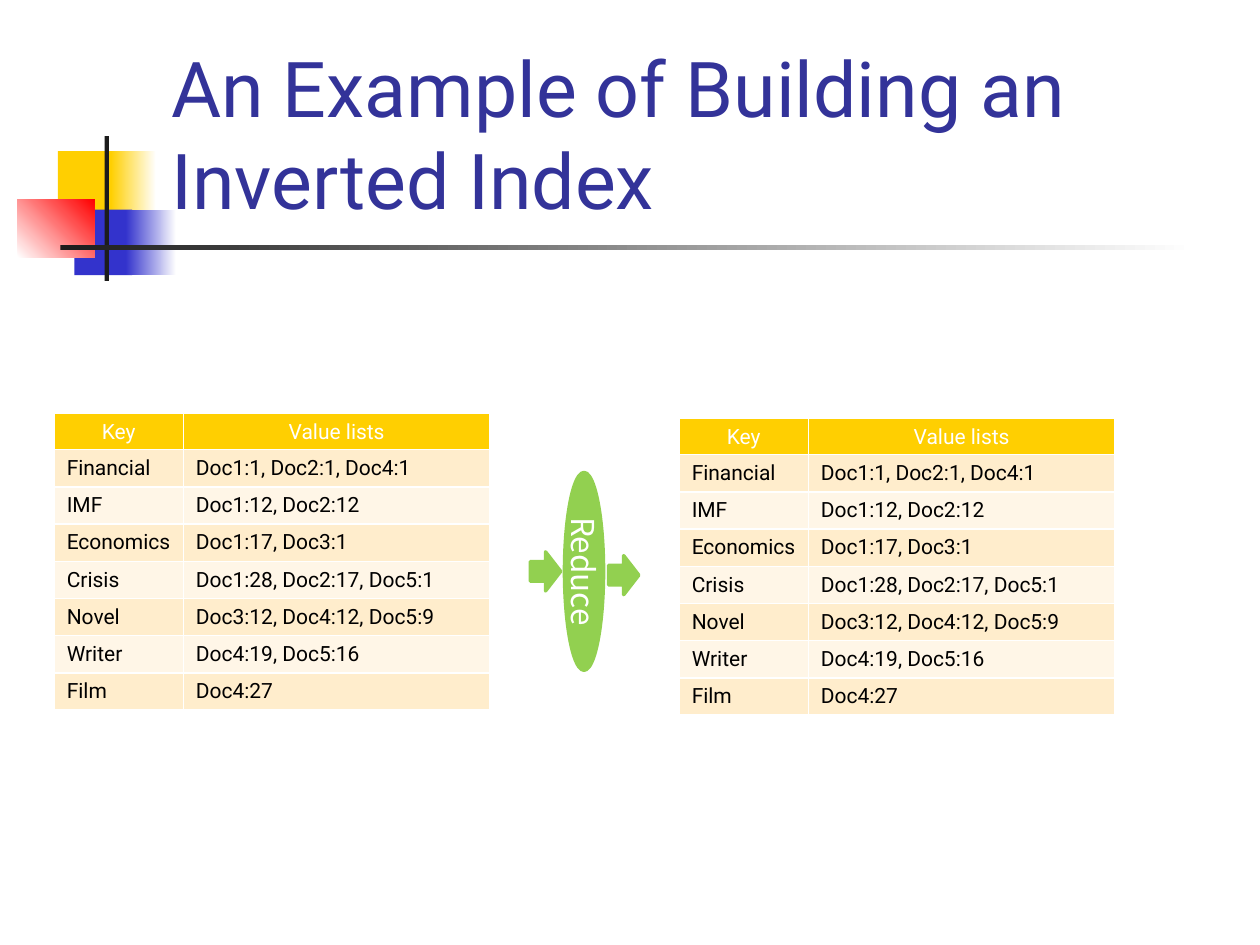
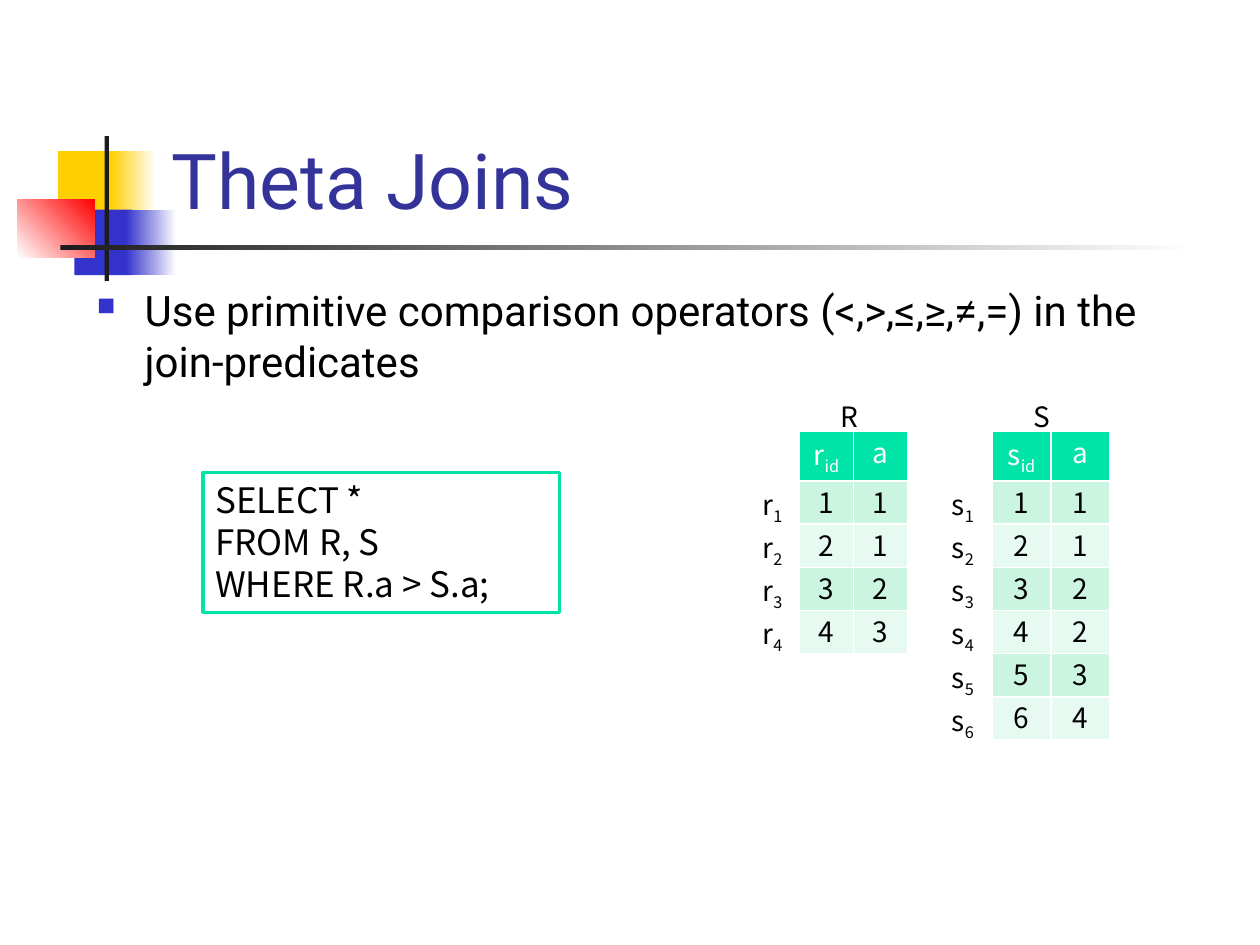
from typing import NamedTuple, Optional

from lxml.etree import SubElement
from pptx import Presentation
from pptx.dml.color import RGBColor
from pptx.enum.shapes import MSO_SHAPE as Shape
from pptx.enum.text import MSO_ANCHOR as Anchor, PP_ALIGN as Align
from pptx.oxml.ns import qn
from pptx.util import Inches, Pt

WIDTH, HEIGHT = Inches(10), Inches(7.5)
LATIN, CJK = "Roboto", "Noto Sans CJK KR"
WHITE, BLACK, INK = "FFFFFF", "000000", "1C1C1C"
YELLOW, BLUE, RED = "FFCF01", "3333CC", "FF0000"
NAVY, GREEN, MINT = "333399", "92D050", "00E4A8"


class Box(NamedTuple):
    """Left, top, width and height in percent of the slide's size."""
    left: float
    top: float
    width: float
    height: float

    def lengths(self) -> tuple:
        return (across(self.left), down(self.top),
                across(self.width), down(self.height))


class TextStyle(NamedTuple):
    font: str
    size: float
    color: str = BLACK
    align: Align = Align.LEFT
    spacing: Optional[float] = None


class Block(NamedTuple):
    box: Box
    color: str
    end_color: Optional[str] = None
    angle: float = 0


class TableStyle(NamedTuple):
    font: str
    size: float
    header: str
    bands: tuple
    header_height: float
    row_height: float
    body_align: Align
    spacing: Optional[float] = None
    row_labels: bool = False


# Shared decoration of every slide
DECORATION = [
    Block(Box(4.6, 16, 4.8, 6.93), YELLOW),
    Block(Box(8.8, 16, 3.6, 6.93), YELLOW, WHITE),
    Block(Box(5.9, 22.2, 4.6, 6.93), BLUE),
    Block(Box(10, 22.2, 4, 6.93), BLUE, WHITE),
    Block(Box(1.4, 21.07, 6.1, 6.2), WHITE, RED, 45),
    Block(Box(8.3, 14.4, 0.35, 15.33), INK),
    Block(Box(4.8, 25.95, 90, 0.5), INK, WHITE),
]
TITLE_BOX = Box(12.6, 3.07, 85.2, 21.4)
TITLE_STYLE = TextStyle(LATIN, 44, NAVY)

# Inverted index
INDEX_STYLE = TableStyle(LATIN, 12, YELLOW, ("FFEDCC", "FFF6E7"),
                         3.85, 3.94, Align.LEFT)
INDEX_COLUMNS = (10.25, 24.35)
INDEX_ROWS = [
    ("Key", "Value lists"),
    ("Financial", "Doc1:1, Doc2:1, Doc4:1"),
    ("IMF", "Doc1:12, Doc2:12"),
    ("Economics", "Doc1:17, Doc3:1"),
    ("Crisis", "Doc1:28, Doc2:17, Doc5:1"),
    ("Novel", "Doc3:12, Doc4:12, Doc5:9"),
    ("Writer", "Doc4:19, Doc5:16"),
    ("Film", "Doc4:27"),
]
INDEX_CORNERS = [(4.3, 43.73), (53.9, 44.27)]
REDUCE_BOX = Box(38.5, 58.4, 15.7, 4.13)
ARROW_BOXES = [Box(42.1, 58.4, 2.4, 4.13), Box(48.3, 58.8, 2.4, 4.13)]


# Relations of the theta join
class Relation(NamedTuple):
    name: str
    label_box: Box
    left: float
    column: float
    values: tuple

    def rows(self) -> list:
        """Rows with an underscore before each subscript."""
        key = self.name.lower()
        return [("", f"{key}_id", "a")] + [
            (f"{key}_{number}", str(number), str(value))
            for number, value in enumerate(self.values, 1)]


RELATION_STYLE = TableStyle(CJK, 16, MINT, ("CCF5E1", "E7FAF1"),
                            5.3, 4.57, Align.CENTER, 0.8, True)
RELATION_TOP = 45.6
RELATIONS = [
    Relation("R", Box(65.7, 41.6, 3.6, 4.93), 59.15, 4.3, (1, 1, 2, 3)),
    Relation("S", Box(81, 41.6, 3.5, 4.93), 74.1, 4.65, (1, 1, 2, 2, 3, 4)),
]
QUERY = ["SELECT *", "FROM R, S", "WHERE R.a > S.a;"]
QUERY_BOX = Box(16.1, 50, 28.3, 14.8)
BODY_BOX = Box(6.7, 29.47, 85, 60)


def across(percent: float) -> int:
    return round(WIDTH * percent / 100)


def down(percent: float) -> int:
    return round(HEIGHT * percent / 100)


def rgb(color: str) -> RGBColor:
    return RGBColor.from_string(color)


def paint(fill, color: str) -> None:
    fill.solid()
    fill.fore_color.rgb = rgb(color)


def write(frame, lines: list, style: TextStyle) -> None:
    """Write one paragraph a line; an underscore starts a subscript."""
    for index, line in enumerate(lines):
        paragraph = frame.add_paragraph() if index else frame.paragraphs[0]
        paragraph.alignment = style.align
        if style.spacing:
            paragraph.line_spacing = style.spacing
        font = paragraph.font
        font.name, font.size = style.font, Pt(style.size)
        font.color.rgb = rgb(style.color)
        base, _, subscript = line.partition("_")
        if base:
            paragraph.add_run().text = base
        if subscript:
            run = paragraph.add_run()
            run.text = subscript
            run._r.get_or_add_rPr().set("baseline", "-25000")


def add_text(slide, box: Box, lines: list, style: TextStyle,
             anchor: Anchor = Anchor.TOP, wrap: bool = True):
    frame = slide.shapes.add_textbox(*box.lengths()).text_frame
    frame.word_wrap = wrap
    frame.vertical_anchor = anchor
    write(frame, lines, style)
    return frame


def add_figure(slide, kind: Shape, box: Box, fill: Optional[str] = None,
               line: Optional[str] = None):
    shape = slide.shapes.add_shape(kind, *box.lengths())
    shape.shadow.inherit = False
    if fill:
        paint(shape.fill, fill)
    else:
        shape.fill.background()
    if line:
        shape.line.color.rgb = rgb(line)
        shape.line.width = Pt(2)
    else:
        shape.line.fill.background()
    return shape


def add_block(slide, block: Block) -> None:
    shape = add_figure(slide, Shape.RECTANGLE, block.box, block.color)
    if block.end_color:
        shape.fill.gradient()
        shape.fill.gradient_angle = block.angle
        stops = shape.fill.gradient_stops
        for stop, color in zip(stops, (block.color, block.end_color)):
            stop.color.rgb = rgb(color)


def add_borders(cell) -> None:
    properties = cell._tc.get_or_add_tcPr()
    for side in "LRTB":
        line = SubElement(properties, qn(f"a:ln{side}"), w=str(Pt(1)))
        fill = SubElement(line, qn("a:solidFill"))
        SubElement(fill, qn("a:srgbClr"), val=WHITE)


def add_grid(slide, left: float, top: float, columns: tuple, rows: list,
             style: TableStyle) -> None:
    height = style.header_height + style.row_height * (len(rows) - 1)
    box = Box(left, top, sum(columns), height)
    table = slide.shapes.add_table(
        len(rows), len(columns), *box.lengths()).table
    table.first_row = table.horz_banding = False
    for column, width in zip(table.columns, columns):
        column.width = across(width)
    for row_index, texts in enumerate(rows):
        is_header = row_index == 0
        table.rows[row_index].height = down(
            style.header_height if is_header else style.row_height)
        band = style.header if is_header else style.bands[(row_index - 1) % 2]
        text_style = TextStyle(
            style.font, style.size, WHITE if is_header else BLACK,
            Align.CENTER if is_header else style.body_align, style.spacing)
        for column_index, text in enumerate(texts):
            cell = table.cell(row_index, column_index)
            cell.margin_bottom = Inches(0.03)
            add_borders(cell)
            if style.row_labels and column_index == 0:
                cell.fill.background()
            else:
                paint(cell.fill, band)
            write(cell.text_frame, [text], text_style)


def add_bullet(paragraph) -> None:
    paragraph.space_before = Pt(4.8)
    properties = paragraph._p.get_or_add_pPr()
    indent = Inches(0.38)
    properties.set("marL", str(indent))
    properties.set("indent", str(-indent))
    default_font = properties.find(qn("a:defRPr"))
    color = SubElement(properties, qn("a:buClr"))
    SubElement(color, qn("a:srgbClr"), val=BLUE)
    SubElement(properties, qn("a:buSzPct"), val="60000")
    SubElement(properties, qn("a:buChar"), char="■")
    properties.append(default_font)  # the schema wants it after the bullet


def add_titled_slide(presentation, title: str):
    slide = presentation.slides.add_slide(presentation.slide_layouts[6])
    for block in DECORATION:
        add_block(slide, block)
    add_text(slide, TITLE_BOX, [title], TITLE_STYLE, Anchor.BOTTOM)
    return slide


def build_index_slide(presentation) -> None:
    slide = add_titled_slide(
        presentation, "An Example of Building an Inverted Index")
    for left, top in INDEX_CORNERS:
        add_grid(slide, left, top, INDEX_COLUMNS, INDEX_ROWS, INDEX_STYLE)

    # Reduce step between the tables
    reduce_step = add_figure(slide, Shape.OVAL, REDUCE_BOX, GREEN, GREEN)
    reduce_step.rotation = 90
    reduce_step.text_frame.word_wrap = False
    write(reduce_step.text_frame, ["Reduce"],
          TextStyle(CJK, 18, WHITE, Align.CENTER))
    for box in ARROW_BOXES:
        add_figure(slide, Shape.RIGHT_ARROW, box, GREEN, GREEN)


def build_join_slide(presentation) -> None:
    slide = add_titled_slide(presentation, "Theta Joins")
    body = add_text(
        slide, BODY_BOX,
        ["Use primitive comparison operators (<,>,≤,≥,≠,=) in the "
         "join-predicates"], TextStyle(LATIN, 24))
    add_bullet(body.paragraphs[0])

    # Query
    query = add_figure(slide, Shape.RECTANGLE, QUERY_BOX, line=MINT)
    query.text_frame.vertical_anchor = Anchor.TOP
    write(query.text_frame, QUERY, TextStyle(CJK, 20))

    # Relations
    for relation in RELATIONS:
        add_text(slide, relation.label_box, [relation.name],
                 TextStyle(CJK, 16), wrap=False)
        add_grid(slide, relation.left, RELATION_TOP, (relation.column,) * 3,
                 relation.rows(), RELATION_STYLE)


def main() -> None:
    presentation = Presentation()
    presentation.slide_width, presentation.slide_height = WIDTH, HEIGHT
    build_index_slide(presentation)
    build_join_slide(presentation)
    presentation.save("out.pptx")


if __name__ == "__main__":
    main()
